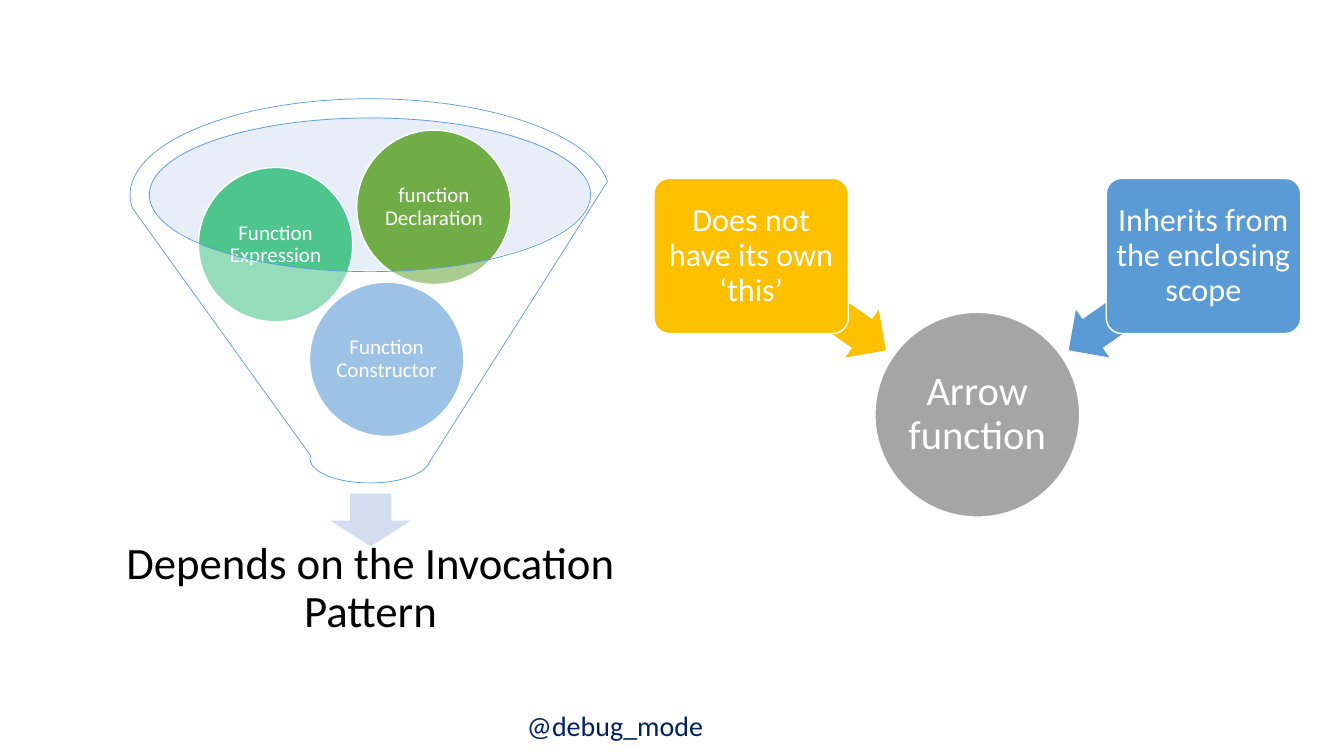
from pptx import Presentation
from pptx import util as u
from pptx.dml.color import RGBColor
from pptx.enum import shapes, text
from pptx.oxml import ns
from lxml import etree

THEME = {
    "font": "Calibri",
    "white": "FFFFFF", "black": "000000", "navy": "002060",
    "blue": "5B9BD5", "mint": "4DC58D", "green": "70AD47",
    "gold": "FFC000", "gray": "A5A5A5",
    "rim": "C4D5EB", "pale": "D2DEEF",
    "ball_size": 15, "handle_size": 20, "box_size": 23,
    "hub_size": 29, "result_size": 32,
}

BALLS = [
    ("Function Constructor", "blue", 7.8, 7.11),
    ("Function Expression", "mint", 5.0, 4.22),
    ("function Declaration", "green", 8.99, 3.28),
]
TRAITS = [
    ("Does not have its own ‘this’", "gold", -1, 215),
    ("Inherits from the enclosing scope", "blue", 1, 325),
]
RESULT = "Depends on the Invocation Pattern"
HUB = "Arrow function"
HANDLE = "@debug_mode"

BALL_SIZE = 3.89
HUB_CENTER = (24.63, 10.45)
HUB_SIZE = 5.16
BOX_SIZE = (4.9, 3.91)
BOX_OFFSET = (5.7, -4.0)
ARROW_SIZE = (4.14, 1.47)
ARROW_OFFSET = (4.0, -2.81)

presentation = Presentation()
presentation.slide_width, presentation.slide_height = u.Cm(33.87), u.Cm(19.05)
slide = presentation.slides.add_slide(presentation.slide_layouts[6])


def color(name):
    return RGBColor.from_string(THEME[name])


def write(shape, words, size, ink="white", inset=0.05, centered=True):
    frame = shape.text_frame
    frame.word_wrap = True
    frame.margin_left = frame.margin_right = u.Cm(inset)
    frame.margin_top = frame.margin_bottom = u.Cm(inset)
    paragraph = frame.paragraphs[0]
    if centered:
        frame.vertical_anchor = text.MSO_ANCHOR.MIDDLE
        paragraph.alignment = text.PP_ALIGN.CENTER
        paragraph.line_spacing = 0.9
    run = paragraph.add_run()
    run.text = words
    run.font.name = THEME["font"]
    run.font.size = u.Pt(THEME[size])
    run.font.color.rgb = color(ink)


def draw(kind, left, top, width, height, fill, line=None, weight=1, alpha=None):
    shape = slide.shapes.add_shape(kind, u.Cm(left), u.Cm(top), u.Cm(width), u.Cm(height))
    shape.shadow.inherit = False
    shape.fill.solid()
    shape.fill.fore_color.rgb = color(fill)
    if alpha:
        solid = shape._element.spPr.find(ns.qn("a:solidFill"))
        etree.SubElement(solid[0], ns.qn("a:alpha")).set("val", str(alpha * 1000))
    if line:
        shape.line.color.rgb = color(line)
        shape.line.width = u.Pt(weight)
    else:
        shape.line.fill.background()
    return shape


def draw_around_hub(kind, side, offset, size, fill, line=None):
    left = HUB_CENTER[0] + side * offset[0] - size[0] / 2
    top = HUB_CENTER[1] + offset[1] - size[1] / 2
    return draw(kind, left, top, *size, fill, line)


def add_text(left, top, width, height, words, size, **style):
    box = slide.shapes.add_textbox(u.Cm(left), u.Cm(top), u.Cm(width), u.Cm(height))
    write(box, words, size, **style)


def draw_funnel():
    kinds = shapes.MSO_SHAPE
    draw(kinds.OVAL, 3.73, 2.95, 11.15, 3.86, "rim", alpha=40)
    draw(kinds.DOWN_ARROW, 8.26, 12.42, 2.16, 1.37, "pale", "white")
    add_text(1.35, 13.54, 15.98, 2.59, RESULT, "result_size", ink="black", inset=0.63)
    for words, fill, left, top in BALLS:
        ball = draw(kinds.OVAL, left, top, BALL_SIZE, BALL_SIZE, fill, "white")
        write(ball, words, "ball_size")
    draw(kinds.FUNNEL, 3.28, 2.49, 12.09, 9.68, "white", "blue", 0.5, alpha=40)


def draw_hub():
    kinds = shapes.MSO_SHAPE
    hub = draw_around_hub(kinds.OVAL, 0, (0, 0), (HUB_SIZE, HUB_SIZE), "gray", "white")
    write(hub, HUB, "hub_size")
    for words, fill, side, angle in TRAITS:
        arrow = draw_around_hub(kinds.LEFT_ARROW, side, ARROW_OFFSET, ARROW_SIZE, fill)
        arrow.adjustments[0] = 0.6
        arrow.rotation = angle
        box = draw_around_hub(kinds.ROUNDED_RECTANGLE, side, BOX_OFFSET, BOX_SIZE, fill, "white")
        box.adjustments[0] = 0.1
        write(box, words, "box_size", inset=0.1)


if __name__ == "__main__":
    add_text(13.03, 17.73, 9.91, 1.12, HANDLE, "handle_size",
             ink="navy", inset=0.25, centered=False)
    slide.shapes[0].text_frame.margin_top = u.Cm(0.13)
    draw_funnel()
    draw_hub()
    presentation.save("out.pptx")
